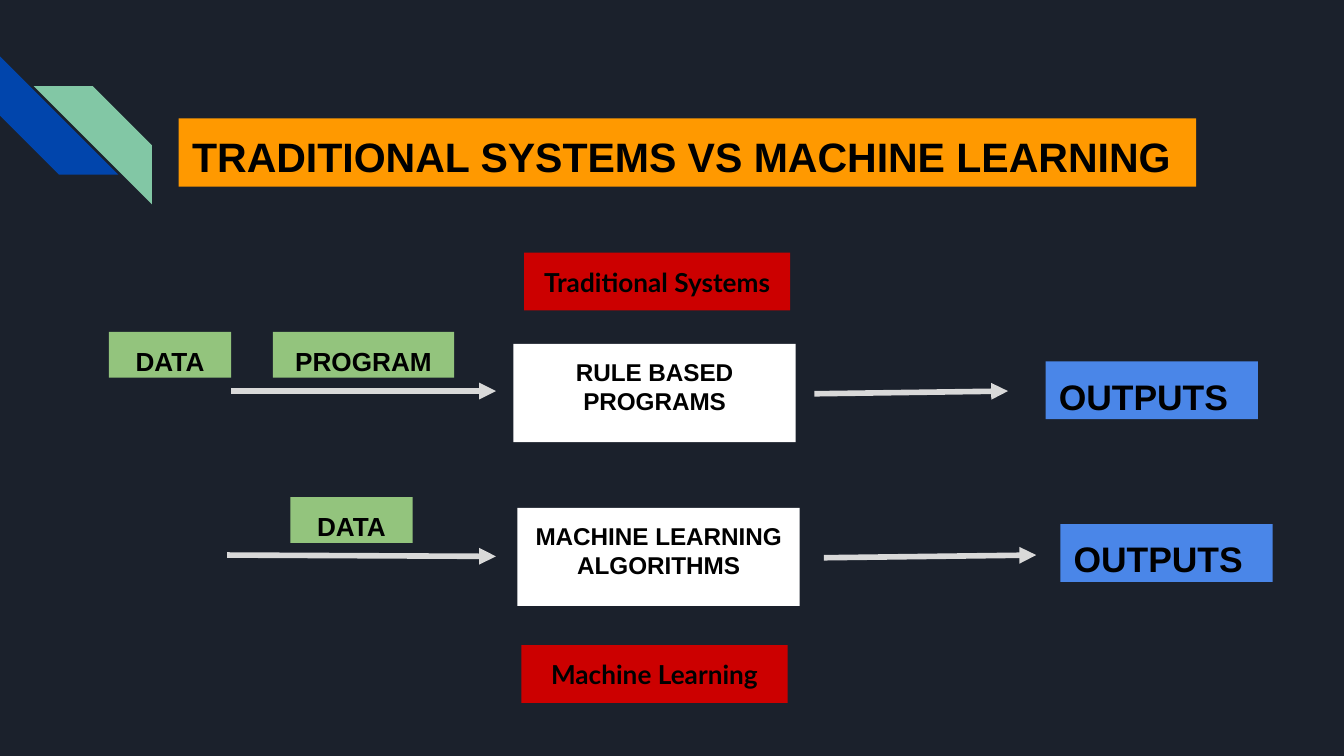
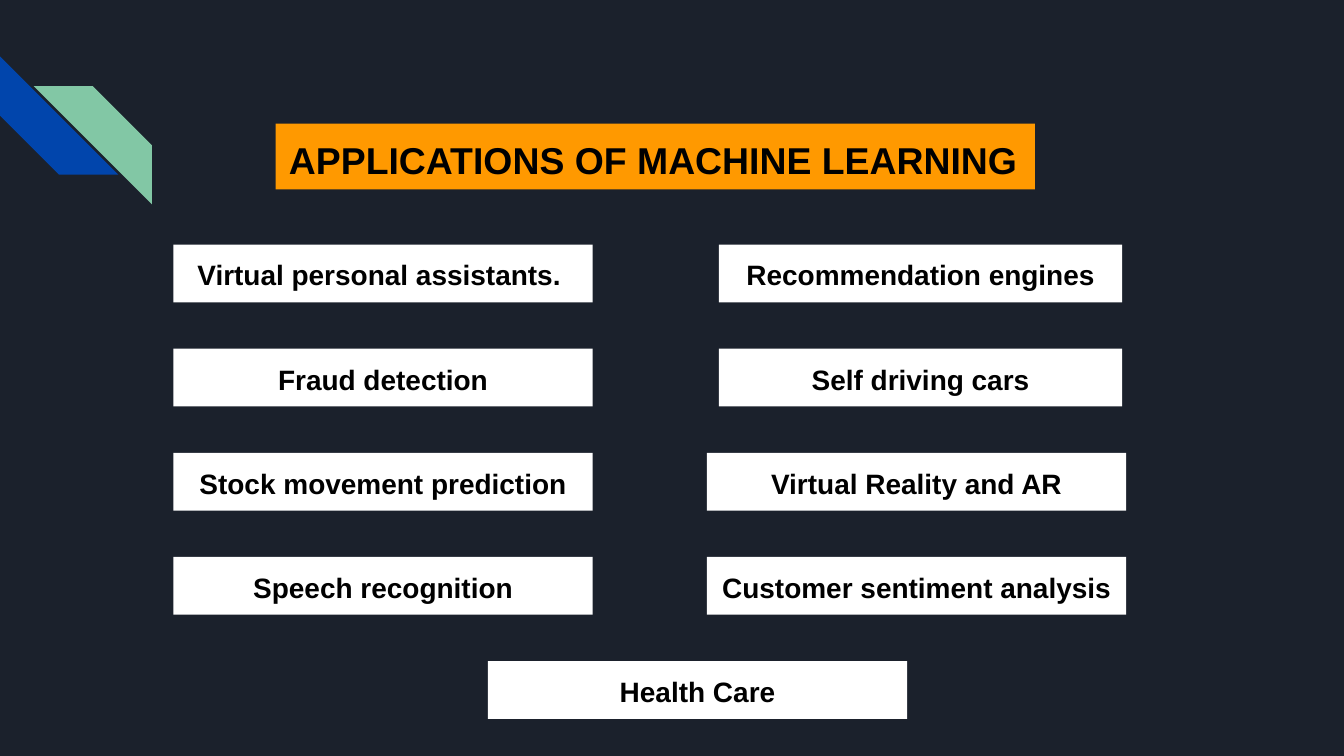
from dataclasses import dataclass

from lxml.etree import SubElement
from pptx import Presentation
from pptx.dml.color import RGBColor
from pptx.enum.shapes import MSO_CONNECTOR, MSO_SHAPE
from pptx.enum.text import MSO_ANCHOR, MSO_AUTO_SIZE, PP_ALIGN
from pptx.oxml.ns import qn
from pptx.util import Inches, Pt


@dataclass(frozen=True)
class Theme:
    background: str = "1B212C"
    blue_stripe: str = "0145AC"
    green_stripe: str = "82C7A5"
    title_band: str = "FF9900"
    card: str = "FFFFFF"
    heading: str = "CC0000"
    input: str = "93C47D"
    output: str = "4A86E8"
    arrow: str = "D9D9D9"
    text: str = "000000"
    font: str = "Arial"
    heading_font: str = "Lato"
    process_size: int = 13
    label_size: int = 14
    card_size: int = 15
    output_size: int = 19
    inset: float = 0.1
    arrow_width: int = 3


T = Theme()
BAR_H = 0.43


def paint(shape, color):
    shape.fill.solid()
    shape.fill.fore_color.rgb = RGBColor.from_string(color)


def write(shape, text, size, align, font=T.font):
    tf = shape.text_frame
    tf.text = text
    tf.word_wrap = True
    tf.auto_size = MSO_AUTO_SIZE.NONE
    tf.vertical_anchor = MSO_ANCHOR.TOP
    tf.margin_left = tf.margin_right = Inches(T.inset)
    tf.margin_top = tf.margin_bottom = Inches(T.inset)
    p = tf.paragraphs[0]
    p.alignment = align
    p.font.name, p.font.size, p.font.bold = font, Pt(size), True
    p.font.color.rgb = RGBColor.from_string(T.text)


def add_plain(s, preset, box, color):
    """Add a filled shape without line or shadow."""
    shape = s.shapes.add_shape(preset, *map(Inches, box))
    shape.shadow.inherit = False
    shape.line.fill.background()
    paint(shape, color)
    return shape


def add_box(s, box, color, text, size, align=PP_ALIGN.CENTER, font=T.font):
    write(add_plain(s, MSO_SHAPE.RECTANGLE, box, color), text, size, align, font)


def add_arrow(s, x1, y1, x2, y2):
    line = s.shapes.add_connector(MSO_CONNECTOR.STRAIGHT, *map(Inches, (x1, y1, x2, y2)))
    line.line.color.rgb = RGBColor.from_string(T.arrow)
    line.line.width = Pt(T.arrow_width)
    SubElement(line.line._get_or_add_ln(), qn("a:tailEnd"), type="triangle")
    SubElement(line.element.spPr, qn("a:effectLst"))


def move_stripes_to_layout(s):
    """Draw the corner stripes and hand them to the layout, so every slide shows them."""
    side = 0.88
    blue = add_plain(s, MSO_SHAPE.DIAGONAL_STRIPE, (0, 0.42, side, side), T.blue_stripe)
    blue.rotation = 270
    green = add_plain(s, MSO_SHAPE.DIAGONAL_STRIPE, (0.25, 0.64, side, side), T.green_stripe)
    green.element.spPr.get_or_add_xfrm().set("flipH", "1")
    for shape_id, stripe in enumerate((blue, green), start=101):
        stripe.element.nvSpPr.cNvPr.id = shape_id
        s.slide_layout.shapes.element.append(stripe.element)


def add_titled_slide(prs, layout, title, box, size):
    s = prs.slides.add_slide(layout)
    sp = s.shapes.title
    sp.left, sp.top, sp.width, sp.height = map(Inches, box)
    paint(sp, T.title_band)
    write(sp, title, size, PP_ALIGN.LEFT)
    return s


def add_lane(s, top, inputs, process, arrow_in, arrow_out, output_at):
    """Place one inputs-process-outputs lane; heights are measured from its top."""
    for x, w, text in inputs:
        add_box(s, (x, top, w, 0.34), T.input, text, T.label_size)
    for x1, y1, x2, y2 in (arrow_in, arrow_out):
        add_arrow(s, x1, top + y1, x2, top + y2)
    x, y, text = process
    add_box(s, (x, top + y, 2.1, 0.73), T.card, text, T.process_size)
    x, y = output_at
    add_box(s, (x, top + y, 1.58, BAR_H), T.output, "OUTPUTS", T.output_size, PP_ALIGN.LEFT)


def fill_comparison(s):
    for x, y, text in ((3.9, 1.88, "Traditional Systems"), (3.88, 4.8, "Machine Learning")):
        add_box(s, (x, y, 1.98, BAR_H), T.heading, text, T.label_size, font=T.heading_font)
    add_lane(s, 2.47,
             inputs=[(0.81, 0.91, "DATA"), (2.03, 1.35, "PROGRAM")],
             process=(3.82, 0.09, "RULE BASED PROGRAMS"),
             arrow_in=(1.72, 0.44, 3.69, 0.44),
             arrow_out=(6.06, 0.46, 7.5, 0.44),
             output_at=(7.78, 0.22))
    add_lane(s, 3.7,
             inputs=[(2.16, 0.91, "DATA")],
             process=(3.85, 0.08, "MACHINE LEARNING ALGORITHMS"),
             arrow_in=(1.69, 0.43, 3.69, 0.44),
             arrow_out=(6.13, 0.45, 7.71, 0.43),
             output_at=(7.89, 0.2))


def fill_applications(s, top, bottom):
    """Stack rows of cards evenly, the first at top and the last at bottom."""
    left, wide, narrow = 1.29, 3.12, 3
    rows = [
        [(left, wide, "Virtual personal assistants. "), (5.35, narrow, "Recommendation engines")],
        [(left, wide, "Fraud detection"), (5.35, narrow, "Self driving cars")],
        [(left, wide, "Stock movement prediction"), (5.26, wide, "Virtual Reality and AR")],
        [(left, wide, "Speech recognition"), (5.26, wide, "Customer sentiment analysis")],
        [(3.63, wide, "Health Care")],
    ]
    pitch = (bottom - top) / (len(rows) - 1)
    for i, row in enumerate(rows):
        for x, w, text in row:
            add_box(s, (x, top + i * pitch, w, BAR_H), T.card, text, T.card_size)


def main():
    prs = Presentation()
    prs.slide_width, prs.slide_height = Inches(10), Inches(10 * 9 / 16)
    paint(prs.slide_master.background, T.background)
    layout = prs.slide_layouts.get_by_name("Title Only")

    s = add_titled_slide(prs, layout, "TRADITIONAL SYSTEMS VS MACHINE LEARNING",
                         (1.33, 0.88, 7.57, 0.51), 22)
    move_stripes_to_layout(s)
    fill_comparison(s)

    s = add_titled_slide(prs, layout, "APPLICATIONS OF MACHINE LEARNING",
                         (2.05, 0.92, 5.65, 0.49), 20)
    fill_applications(s, top=1.82, bottom=4.92)

    prs.save("out.pptx")


if __name__ == "__main__":
    main()
